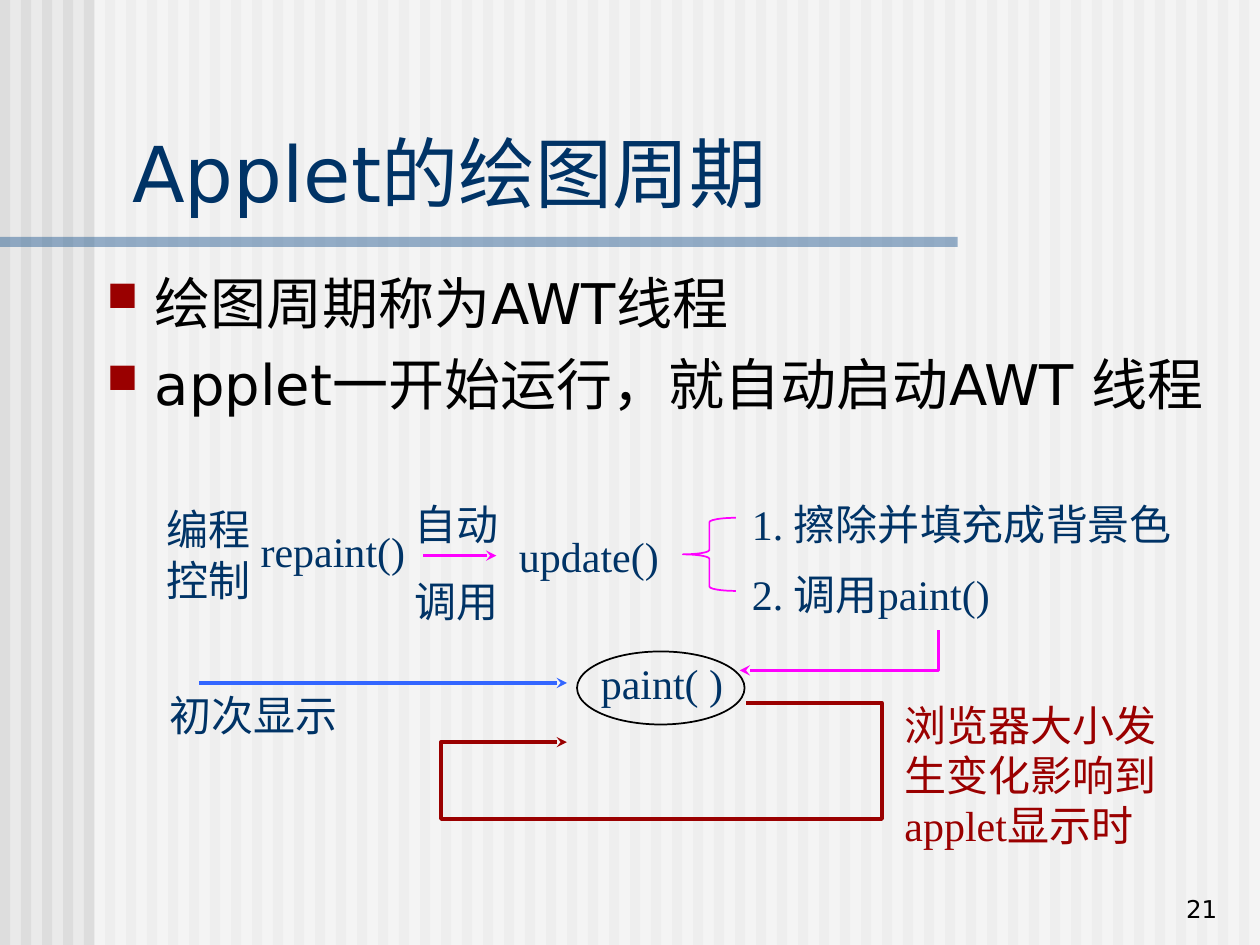
from lxml import etree
from pptx import Presentation
from pptx.dml.color import RGBColor
from pptx.enum.shapes import MSO_CONNECTOR, MSO_SHAPE
from pptx.enum.text import MSO_ANCHOR, PP_ALIGN
from pptx.oxml.ns import qn
from pptx.util import Inches, Pt

STRAIGHT = MSO_CONNECTOR.STRAIGHT
RECTANGLE, OVAL, LEFT_BRACE = MSO_SHAPE.RECTANGLE, MSO_SHAPE.OVAL, MSO_SHAPE.LEFT_BRACE
TOP, BOTTOM = MSO_ANCHOR.TOP, MSO_ANCHOR.BOTTOM
LEFT, RIGHT = PP_ALIGN.LEFT, PP_ALIGN.RIGHT

PAPER = RGBColor(0xEA, 0xEA, 0xEA)
STRIPE = RGBColor(0xDD, 0xDD, 0xDD)
WHITE = RGBColor(0xFF, 0xFF, 0xFF)
BLACK = RGBColor(0x00, 0x00, 0x00)
STEEL = RGBColor(0x33, 0x66, 0x99)
NAVY = RGBColor(0x00, 0x33, 0x66)
RED = RGBColor(0x9A, 0x00, 0x00)
BLUE = RGBColor(0x33, 0x66, 0xFF)
MAGENTA = RGBColor(0xFF, 0x00, 0xFF)

SANS = "DejaVu Sans"
SERIF = "Times New Roman"


def add_element(parent, tag, **attributes):
    return etree.SubElement(parent, qn(tag), attributes)


def add_band(page, left, top, width, height, color, opacity=None):
    band = page.shapes.add_shape(
        RECTANGLE, Inches(left), Inches(top), Inches(width), Inches(height)
    )
    band.shadow.inherit = False
    band.fill.solid()
    band.fill.fore_color.rgb = color
    band.line.fill.background()
    if opacity:
        tint = band.fill._xPr.find(qn("a:solidFill"))[0]
        add_element(tint, "a:alpha", val=str(opacity * 1000))


def add_outline(page, preset, left, top, width, height, color):
    outline = page.shapes.add_shape(
        preset, Inches(left), Inches(top), Inches(width), Inches(height)
    )
    outline.shadow.inherit = False
    outline.fill.background()
    outline.line.color.rgb = color
    outline.line.width = Pt(1)


def finish_arrow(arrow, color):
    arrow.line.color.rgb = color
    arrow.line.width = Pt(2)
    add_element(arrow.line._get_or_add_ln(), "a:tailEnd", type="stealth")


def add_arrow(page, start, end, y, color):
    arrow = page.shapes.add_connector(
        STRAIGHT, Inches(start), Inches(y), Inches(end), Inches(y)
    )
    finish_arrow(arrow, color)
    add_element(arrow._element.spPr, "a:effectLst")


def add_bent_arrow(page, points, color):
    corners = [(Inches(x), Inches(y)) for x, y in points]
    builder = page.shapes.build_freeform(*corners[0])
    builder.add_line_segments(corners[1:], close=False)
    arrow = builder.convert_to_shape()
    arrow.shadow.inherit = False
    arrow.fill.background()
    finish_arrow(arrow, color)


def add_bullet(para):
    properties = para._p.get_or_add_pPr()
    properties.set("marL", str(Inches(0.38)))
    properties.set("indent", str(Inches(-0.38)))
    color = add_element(properties, "a:buClr")
    add_element(color, "a:srgbClr", val=str(RED))
    add_element(properties, "a:buSzPct", val="75000")
    add_element(properties, "a:buChar", char="■")


def add_text(page, left, top, width, height, *lines, size=24, font=SERIF,
             color=NAVY, anchor=TOP, align=LEFT, gap=15, bullets=False):
    box = page.shapes.add_textbox(
        Inches(left), Inches(top), Inches(width), Inches(height)
    )
    frame = box.text_frame
    frame.word_wrap = True
    frame.vertical_anchor = anchor
    for index, line in enumerate(lines):
        para = frame.paragraphs[0] if index == 0 else frame.add_paragraph()
        para.text = line
        para.alignment = align
        if index:
            para.space_before = Pt(gap)
        if bullets:
            add_bullet(para)
        para.font.size = Pt(size)
        para.font.name = font
        para.font.color.rgb = color


def add_backdrop(page, width, height):
    page.background.fill.solid()
    page.background.fill.fore_color.rgb = PAPER
    for index in range(int(width * 6)):
        add_band(page, index / 6, 0, 0.08, height, STRIPE)
    add_band(page, 0.75, 0, width - 0.75, height, WHITE, 50)
    add_band(page, 0, 1.88, 7.6, 0.08, STEEL, 50)


def add_call_chain(page, left, top):
    add_text(page, left, top + 0.04, 1.08, 0.9, "编程控制")
    add_text(page, left + 0.75, top + 0.21, 1.75, 0.5, "repaint()")
    add_arrow(page, left + 2.14, left + 2.72, top + 0.5, MAGENTA)
    add_text(page, left + 1.97, top, 1.25, 1.11, "自动", "调用")
    add_text(page, left + 2.8, top + 0.25, 1.33, 0.5, "update()")
    add_outline(page, LEFT_BRACE, left + 4.2, top + 0.2, 0.42, 0.58, MAGENTA)
    add_text(page, left + 4.65, top, 3.67, 0.5, "1. 擦除并填充成背景色")
    add_text(page, left + 4.65, top + 0.55, 3.83, 0.5, "2. 调用paint()")


def add_paint_cycle(page, left, top):
    right, middle = left + 5.75, top + 0.58
    add_text(page, left + 3.42, top + 0.17, 1.25, 0.5, "paint( )")
    add_outline(page, OVAL, left + 3.33, top + 0.17, 1.33, 0.58, BLACK)
    add_bent_arrow(page, [
        (left + 4.67, middle), (right, middle), (right, top + 1.5),
        (left + 2.25, top + 1.5), (left + 2.25, top + 0.89),
        (left + 3.25, top + 0.89),
    ], RED)
    add_bent_arrow(page, [
        (left + 6.2, top), (left + 6.2, top + 0.32), (left + 4.62, top + 0.32),
    ], MAGENTA)
    add_arrow(page, left + 0.33, left + 3.25, top + 0.42, BLUE)
    add_text(page, left, top + 0.42, 2, 0.5, "初次显示")
    add_text(page, left + 5.83, top + 0.5, 2.46, 1.3,
             "浏览器大小发生变化影响到applet显示时", color=RED)


def main():
    deck = Presentation()
    deck.slide_width, deck.slide_height = Inches(10), Inches(7.5)
    page = deck.slides.add_slide(deck.slide_layouts[6])
    add_backdrop(page, 10, 7.5)
    add_text(page, 0.95, 0.94, 8.93, 0.84, "Applet的绘图周期",
             size=44, font=SANS, anchor=BOTTOM)
    add_text(page, 0.75, 2.08, 9.08, 4.58,
             "绘图周期称为AWT线程", "applet一开始运行，就自动启动AWT 线程",
             size=32, font=SANS, color=BLACK, gap=8, bullets=True)
    add_call_chain(page, 1.22, 3.91)
    add_paint_cycle(page, 1.25, 5)
    add_text(page, 7.68, 6.88, 2.08, 0.5, "21", size=14, font=SANS,
             color=BLACK, anchor=BOTTOM, align=RIGHT)
    deck.save("out.pptx")


if __name__ == "__main__":
    main()
